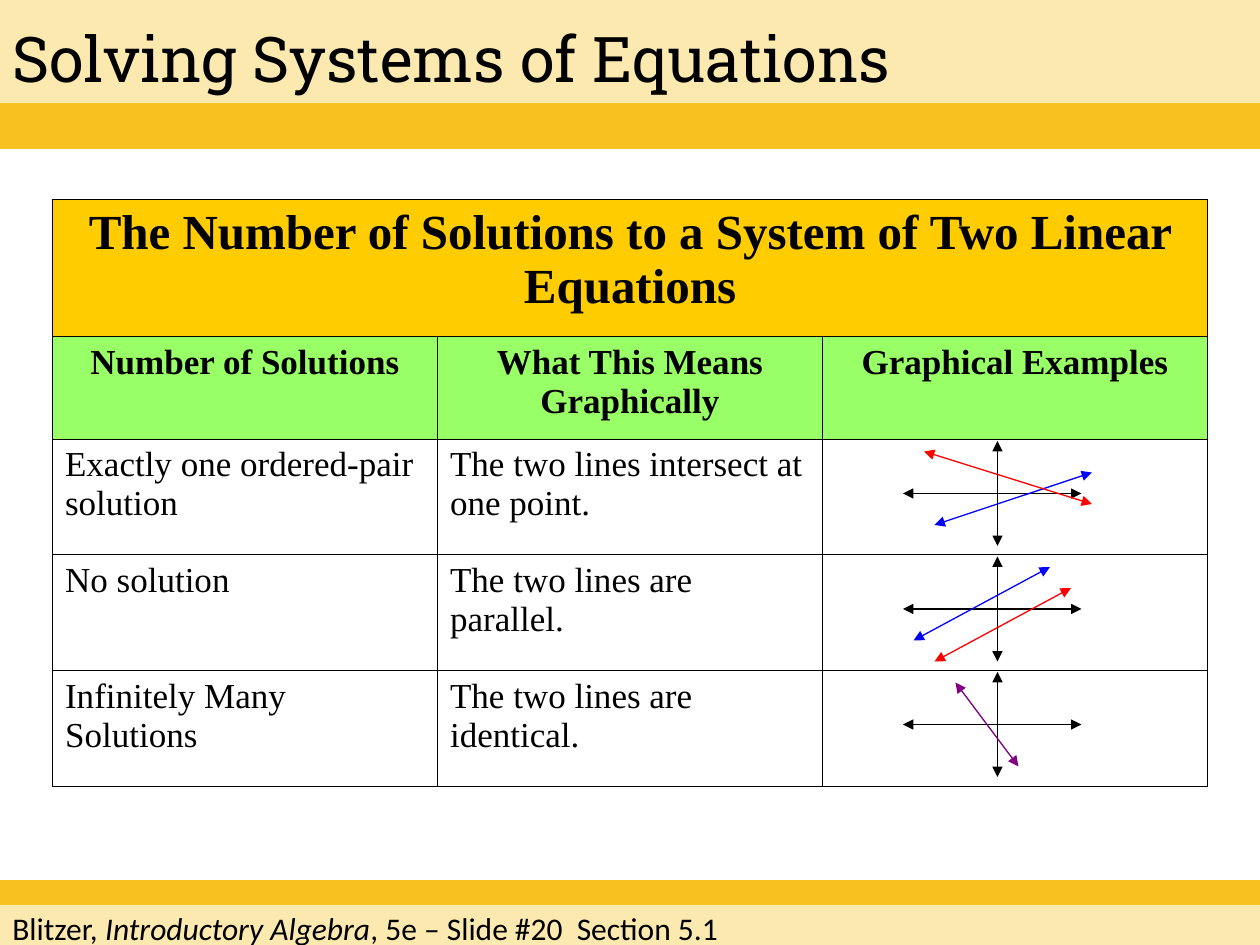
from pptx import Presentation, util as u
from pptx.dml.color import RGBColor
from pptx.enum import shapes, text
from pptx.oxml import parse_xml
from pptx.oxml.ns import nsdecls
from pptx.oxml.xmlchemy import OxmlElement

BLACK = RGBColor(0x00, 0x00, 0x00)
CREAM = RGBColor(0xFC, 0xE9, 0xAF)
GOLD = RGBColor(0xF7, 0xC1, 0x20)
AMBER = RGBColor(0xFF, 0xCC, 0x00)
GREEN = RGBColor(0x99, 0xFF, 0x66)
BLUE = RGBColor(0x00, 0x00, 0xFF)
RED = RGBColor(0xFF, 0x00, 0x00)
PURPLE = RGBColor(0x80, 0x00, 0x80)

# Content
TITLE = "Solving Systems of Equations"
FOOTER = [("Blitzer, ", False), ("Introductory Algebra", True),
          (", 5e – Slide #20  Section 5.1", False)]
ROWS = [
    ["The Number of Solutions to a System of Two Linear Equations", "", ""],
    ["Number of Solutions", "What This Means Graphically", "Graphical Examples"],
    ["Exactly one ordered-pair solution", "The two lines intersect at one point.", ""],
    ["No solution", "The two lines are parallel.", ""],
    ["Infinitely Many Solutions", "The two lines are identical.", ""],
]
HEIGHTS = [1.09, 0.81, 0.92, 0.92, 0.92]
ROW_FILLS = [AMBER, GREEN, None, None, None]

# Graphs in grid units relative to each origin: x1, y1, x2, y2, colour
AXES = [(0, -5, 0, 5, BLACK), (-9, 0, 8, 0, BLACK)]
GRAPHS = [
    [(-6, 3, 9, -2, BLUE), (-7, -4, 9, 1, RED)],
    [(-8, 3, 5, -4, BLUE), (-6, 5, 7, -2, RED)],
    [(-4, -4, 2, 4, PURPLE)],
]
ORIGIN_X, ORIGIN_Y, PITCH = 95, 47, 11


def grid(n):
    """Length of n grid units; twelve units make an inch."""
    return u.Inches(n / 12)


def add_bar(s, top, height, fill, line=None):
    sp = s.shapes.add_shape(shapes.MSO_SHAPE.RECTANGLE, 0, grid(top),
                            grid(120), grid(height))
    sp.shadow.inherit = False
    sp.fill.solid()
    sp.fill.fore_color.rgb = fill
    if line:
        sp.line.color.rgb = line
        sp.line.width = u.Pt(2)
    else:
        sp.line.fill.background()
    return sp


def set_font(p, name, size, bold=False):
    p.font.name, p.font.size, p.font.bold = name, u.Pt(size), bold
    p.font.color.rgb = BLACK


def add_borders(cell, outer):
    tcPr = cell._tc.get_or_add_tcPr()
    for i, side in enumerate("LRTB"):
        width = u.Pt(1.08 if side in outer else 0.45)
        tcPr.insert(i, parse_xml(
            f'<a:ln{side} {nsdecls("a")} w="{width}"><a:solidFill>'
            f'<a:srgbClr val="{BLACK}"/></a:solidFill></a:ln{side}>'))


def add_arrow(s, x1, y1, x2, y2, color):
    line = s.shapes.add_connector(shapes.MSO_CONNECTOR.STRAIGHT,
                                  grid(x1), grid(y1), grid(x2), grid(y2))
    line.line.color.rgb = color
    line.line.width = u.Pt(0.75)
    ln = line.line._get_or_add_ln()
    for end in ("a:headEnd", "a:tailEnd"):
        arrow = OxmlElement(end)
        arrow.set("type", "triangle")
        ln.append(arrow)
    line._element.spPr.append(OxmlElement("a:effectLst"))


prs = Presentation()
prs.slide_width, prs.slide_height = u.Inches(10), u.Inches(7.5)
s = prs.slides.add_slide(prs.slide_layouts[5])

# Title band
title = s.shapes.title
title.left, title.top, title.width, title.height = 0, 0, grid(120), grid(11)
title.fill.solid()
title.fill.fore_color.rgb = CREAM
tf = title.text_frame
tf.text = TITLE
tf.auto_size = text.MSO_AUTO_SIZE.NONE
tf.vertical_anchor = text.MSO_ANCHOR.MIDDLE
tf.paragraphs[0].alignment = text.PP_ALIGN.LEFT
set_font(tf.paragraphs[0], "Roboto Slab", 36)

# Footer band
tf = add_bar(s, 86, 4, CREAM).text_frame
tf.word_wrap = True
tf.vertical_anchor = text.MSO_ANCHOR.TOP
p = tf.paragraphs[0]
p.alignment = text.PP_ALIGN.LEFT
set_font(p, "Calibri", 18)
for words, italic in FOOTER:
    r = p.add_run()
    r.text, r.font.italic = words, italic

# Table
last_row, last_col = len(ROWS) - 1, len(ROWS[0]) - 1
table = s.shapes.add_table(len(ROWS), len(ROWS[0]), grid(5), grid(19),
                           grid(110), u.Inches(sum(HEIGHTS))).table
for i, (row, height, fill) in enumerate(zip(ROWS, HEIGHTS, ROW_FILLS)):
    table.rows[i].height = u.Inches(height)
    for j, words in enumerate(row):
        cell = table.cell(i, j)
        if fill:
            cell.fill.solid()
            cell.fill.fore_color.rgb = fill
        else:
            cell.fill.background()
        outer = [side for side, on_edge in zip("LRTB", (
            j == 0, j == last_col, i == 0, i == last_row)) if on_edge]
        add_borders(cell, outer)
        p = cell.text_frame.paragraphs[0]
        if words:
            p.text = words
            p.space_before = u.Pt(7 if i == 0 else 5)
        p.alignment = text.PP_ALIGN.CENTER if fill else text.PP_ALIGN.LEFT
        set_font(p, "Times New Roman", 28 if i == 0 else 20, bold=bool(fill))
table.cell(0, 0).merge(table.cell(0, last_col))

# Graphical examples
for k, graph in enumerate(GRAPHS):
    y0 = ORIGIN_Y + k * PITCH
    for x1, y1, x2, y2, color in AXES + graph:
        add_arrow(s, ORIGIN_X + x1, y0 + y1, ORIGIN_X + x2, y0 + y2, color)

# Gold stripes
for top, height in ((10, 4), (84, 2)):
    add_bar(s, top, height, GOLD, line=GOLD)

prs.save("out.pptx")
